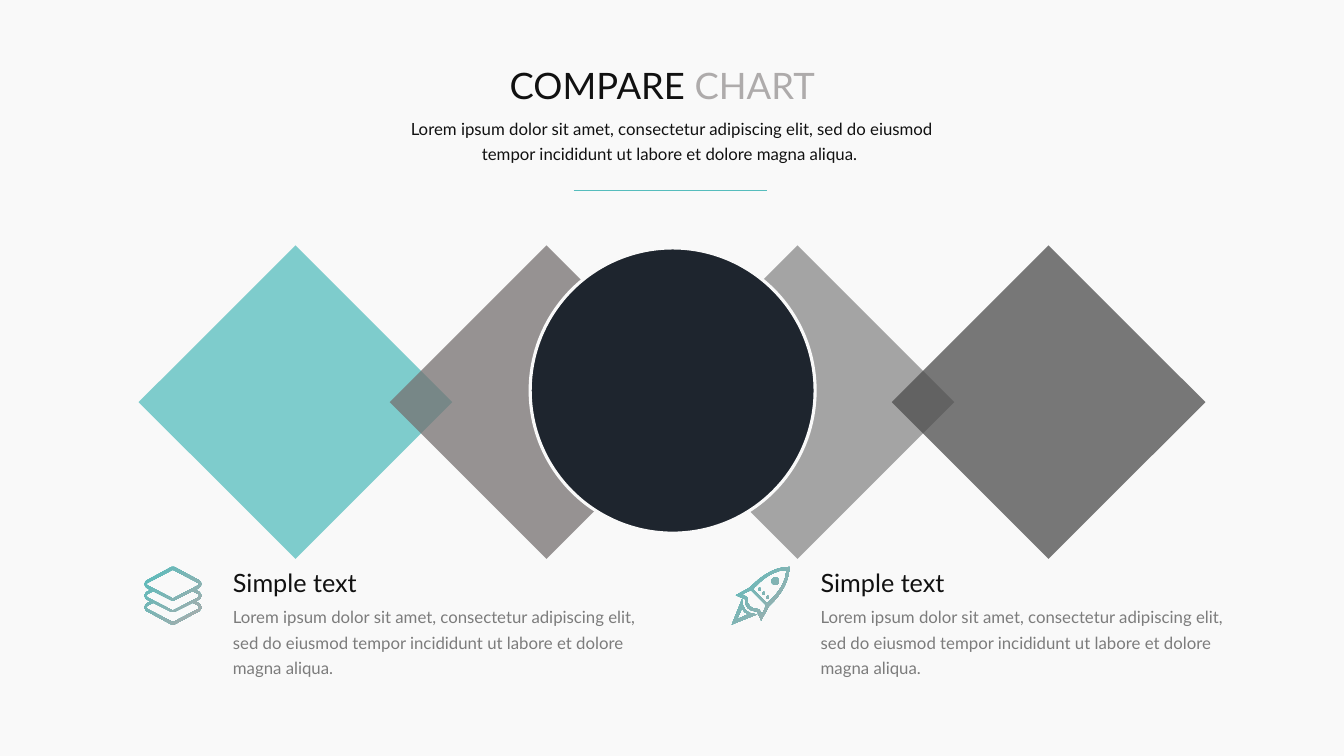
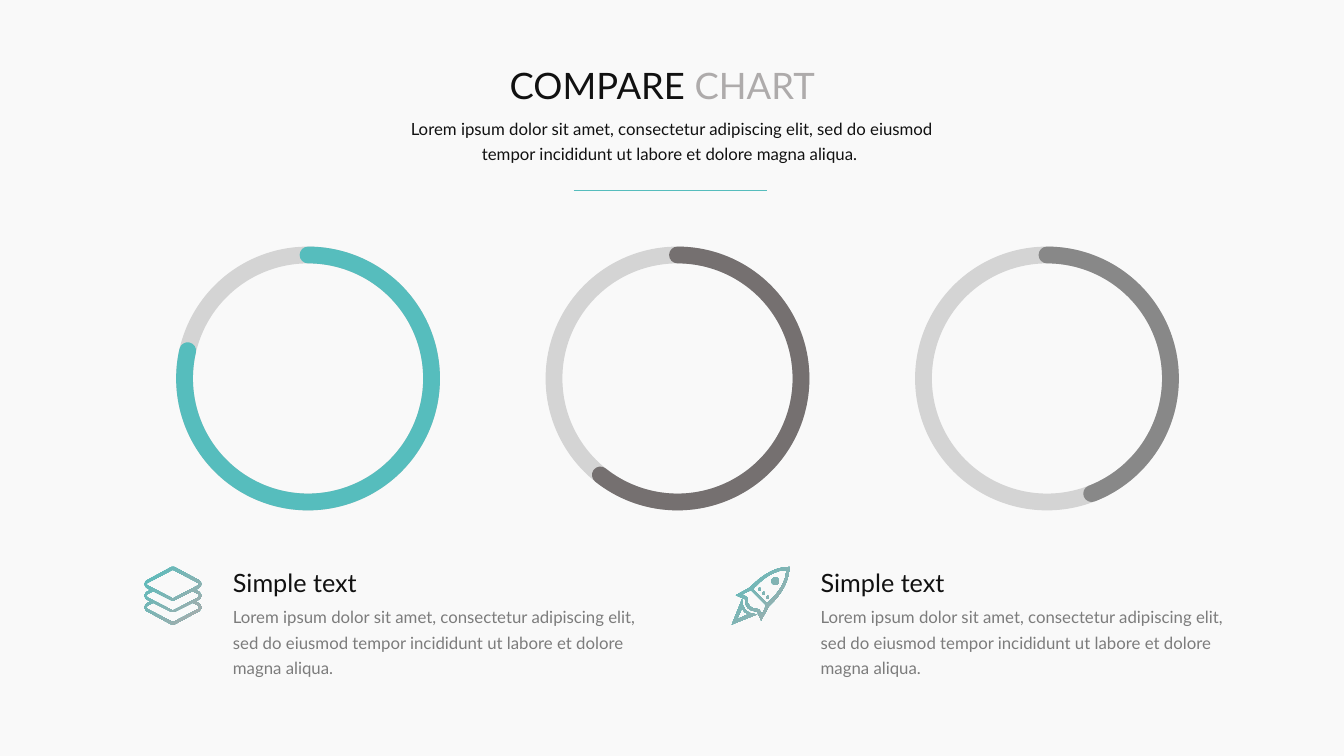
import math
import pptx
import pptx.dml.color
import pptx.enum.shapes
import pptx.enum.text
import pptx.oxml.ns
import pptx.util

Kind = pptx.enum.shapes.MSO_SHAPE
Align = pptx.enum.text.PP_ALIGN
Pt = pptx.util.Pt
qn = pptx.oxml.ns.qn

deck = pptx.Presentation()
deck.slide_width = pptx.util.Inches(13.33)
deck.slide_height = pptx.util.Inches(7.5)
col = deck.slide_width / 100
row = deck.slide_height / 100

TEAL, TAUPE, GREY, COAL = "56BDBD", "757070", "888888", "4C4C4C"
PAPER, NAVY, INK = "F9F9F9", "1E252E", "111111"
SILVER, TRACK, BODY = "AEABAB", "D4D4D4", "7C7C7C"


def hue(code):
    return pptx.dml.color.RGBColor.from_string(code)


def cell(x, y, wide, high):
    return [round(n) for n in (x * col, y * row, wide * col, high * row)]


back = deck.slide_master.background.fill
back.solid()
back.fore_color.rgb = hue(PAPER)

blank = deck.slide_layouts[6]
first, last = [deck.slides.add_slide(blank) for _ in range(2)]

for i, code in enumerate((TEAL, TAUPE, GREY, COAL)):
    gem = first.shapes.add_shape(
        Kind.RECTANGLE, *cell(13.73 + 18.68 * i, 38.53, 16.5, 29.33))
    gem.rotation = 45
    gem.shadow.inherit = False
    gem.fill.solid()
    gem.fill.fore_color.rgb = hue(code)
    gem.line.fill.background()
    tint = gem.element.spPr.find(".//" + qn("a:srgbClr"))
    tint.append(tint.makeelement(qn("a:alpha"), {"val": "75000"}))

disc = first.shapes.add_shape(Kind.OVAL, *cell(39.45, 32.8, 21.2, 37.73))
disc.shadow.inherit = False
disc.fill.solid()
disc.fill.fore_color.rgb = hue(NAVY)
disc.line.color.rgb = hue(PAPER)
disc.line.width = Pt(2.25)

for i, (code, stop) in enumerate(((TEAL, 115.8), (TAUPE, 77.18), (GREY, 41.27))):
    dial = last.shapes.add_group_shape()
    for kind, shade in ((Kind.OVAL, TRACK), (Kind.ARC, code)):
        ring = dial.shapes.add_shape(
            kind, *cell(13.73 + 27.49 * i, 33.73, 18.38, 32.67))
        ring.shadow.inherit = False
        ring.fill.background()
        ring.line.color.rgb = hue(shade)
        ring.line.width = Pt(12)
    ring.adjustments[0] = 162
    ring.adjustments[1] = stop
    ring.element.spPr.find(qn("a:ln")).set("cap", "rnd")

SIDE = 57
drop = 11.5
sheet = [(29, 3), (54, 16), (54.5, 17), (54, 18), (29, 31)]
band = [(30, 33), (48, 24), (54, 27), (54.5, 28.5), (54, 30), (29, 43)]
under = [(x, y + drop) for x, y in band]
rim = [(30, 0)]
for n in range(3):
    rim += [(x, y + n * drop) for x, y in ((55, 13.5), (SIDE, 17), (55, 20.5), (51, 22.75))]
rim[-1] = (30, SIDE)
stack = [half + [(SIDE - x, y) for x, y in reversed(half)]
         for half in (rim, sheet, band, under)]

nose = [(x, (SIDE - x) ** 2 / 75) for x in range(SIDE, 17, -3)]
hull = nose + [(4, 28), (13, 32), (13.5, 37), (16, 41)]
cabin = [(x, 3 + (55 - x) ** 2 / 61) for x in range(55, 20, -2)]
fins = [(19, 23), (10, 27), (15, 30), (16, 36), (18, 39)]
flame = [(0, SIDE), (10, 32), (10.7, 37.6), (13.6, 43)]
spark = [(5, 52), (10, 41), (12, 44)]
rocket = [half + [(SIDE - y, SIDE - x) for x, y in reversed(half)]
          for half in (hull, cabin, fins, flame, spark)]
rivets = [(27.5 + 4 * n, 22 + 4 * n, 1.4) for n in range(3)]
port = (43, 14, 4)
turns = [math.pi * (n + 0.5) / 4 for n in range(8)]
for x, y, size in rivets + [port]:
    rocket.append([(x + size * math.cos(a), y + size * math.sin(a)) for a in turns])

lorem = ("Lorem ipsum dolor sit amet, consectetur adipiscing elit, sed do eiusmod "
         "tempor incididunt ut labore et dolore magna aliqua.")
texts = [
    (cell(37.58, 8.4, 23.4, 5.87), 26, Align.CENTER, False, 1,
     (("COMPARE ", INK), ("CHART", SILVER))),
    (cell(29.03, 15, 41.93, 6.67), 12, Align.CENTER, True, 1.25,
     ((lorem + " ", INK),)),
]
step = 43.73
for x in (17.33, 17.33 + step):
    texts += [
        (cell(x, 75.07, 9.5, 4), 18, Align.LEFT, False, 1, (("Simple text", INK),)),
        (cell(x, 79.65, 31.9, 10.13), 12, Align.LEFT, True, 1.25, ((lorem, BODY),)),
    ]
sides = ("left", "top", "right", "bottom")
form = {"margin_" + side: 0 for side in sides}
form["auto_size"] = pptx.enum.text.MSO_AUTO_SIZE.SHAPE_TO_FIT_TEXT

for slide in (first, last):
    for area, size, align, wrap, gap, runs in texts:
        frame = slide.shapes.add_textbox(*area).text_frame
        for key, value in form.items():
            setattr(frame, key, value)
        frame.word_wrap = wrap
        para = frame.paragraphs[0]
        para.alignment = align
        para.line_spacing = gap
        for words, code in runs:
            run = para.add_run()
            run.text = words
            run.font.name = "Lato"
            run.font.size = Pt(size)
            run.font.color.rgb = hue(code)

    left, top, wide, _ = cell(42.68, 25.2, 14.4, 0)
    rule = slide.shapes.add_connector(
        pptx.enum.shapes.MSO_CONNECTOR.STRAIGHT, left, top, left + wide, top)
    rule.line.color.rgb = hue(TEAL)
    rule.line.width = Pt(0.5)
    props = rule.element.spPr
    props.append(props.makeelement(qn("a:effectLst"), {}))

    for i, icon in enumerate((stack, rocket)):
        loops = [[(x * 10, y * 10) for x, y in loop] for loop in icon]
        pen = slide.shapes.build_freeform(*loops[0][0], scale=pptx.util.Inches(1) / 1000)
        for loop in loops:
            pen.move_to(*loop[0])
            pen.add_line_segments(loop[1:], close=True)
        left, top, _, _ = cell(10.73 + step * i, 75, 0, 0)
        mark = pen.convert_to_shape(left, top)
        mark.shadow.inherit = False
        mark.line.fill.background()
        mark.fill.gradient()
        mark.fill.gradient_angle = 315
        for stop, code in zip(mark.fill.gradient_stops, (TEAL, SILVER)):
            stop.color.rgb = hue(code)

deck.save("out.pptx")
